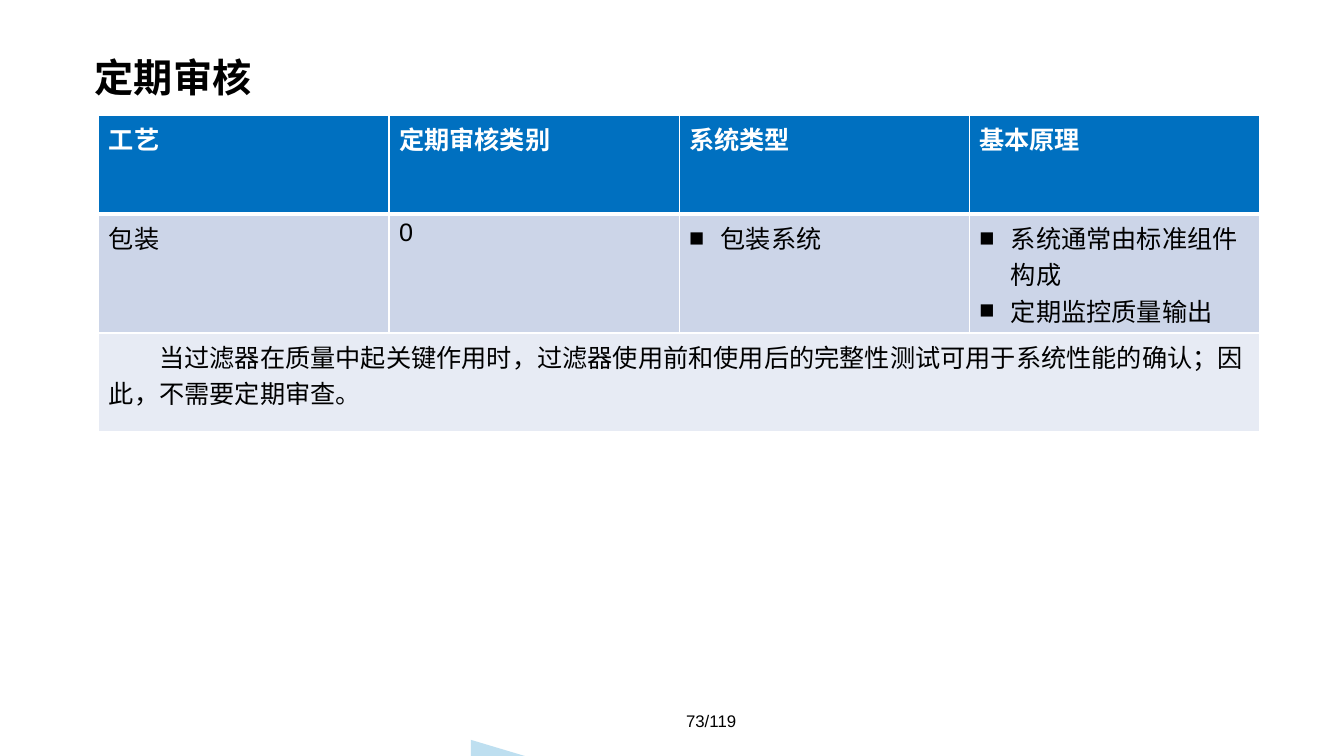
from lxml.etree import SubElement
from pptx import Presentation
from pptx.dml.color import RGBColor
from pptx.enum.shapes import MSO_SHAPE
from pptx.enum.text import MSO_ANCHOR, MSO_AUTO_SIZE, PP_ALIGN
from pptx.oxml.ns import qn
from pptx.util import Pt

BLACK = RGBColor(0x00, 0x00, 0x00)
WHITE = RGBColor(0xFF, 0xFF, 0xFF)
HEADER_BLUE = RGBColor(0x00, 0x70, 0xC0)
ROW_BLUE = RGBColor(0xCC, 0xD5, 0xE8)
NOTE_BLUE = RGBColor(0xE7, 0xEB, 0xF4)
ACCENT_BLUE = RGBColor(0xBE, 0xDF, 0xF0)

CJK = "Noto Sans CJK SC"
TITLE = dict(name=CJK, size=Pt(28), bold=True)
HEADER = dict(name="Calibri", size=Pt(18), bold=True)
BODY = dict(name="Arial", size=Pt(18), bold=False)
FOOTER = dict(name="Arial", size=Pt(12), bold=False)

COLUMNS = ["工艺", "定期审核类别", "系统类型", "基本原理"]
PACKAGING = [["包装"], ["0"], ["包装系统"], ["系统通常由标准组件构成", "定期监控质量输出"]]
BULLET_COLUMNS = (2, 3)
ROW_HEIGHTS = (70.5, 85, 70.5)
NOTE = "当过滤器在质量中起关键作用时，过滤器使用前和使用后的完整性测试可用于系统性能的确认；因此，不需要定期审查。"


def add_text(p, text, style, color=BLACK):
    r = p.add_run()
    r.text = text
    for key, value in style.items():
        setattr(r.font, key, value)
    r.font.color.rgb = color
    SubElement(r._r.get_or_add_rPr(), qn("a:ea"), typeface=CJK)


def set_indent(p, margin, first_line):
    pPr = p._p.get_or_add_pPr()
    pPr.set("marL", str(Pt(margin)))
    pPr.set("indent", str(Pt(first_line)))
    return pPr


def add_bullet(p):
    pPr = set_indent(p, 22.5, -22.5)
    SubElement(pPr, qn("a:buFont"), typeface="Arial")
    SubElement(pPr, qn("a:buChar"), char="■")


def add_borders(cell, top, bottom):
    tcPr = cell._tc.get_or_add_tcPr()
    for side, width in dict(L=1, R=1, T=top, B=bottom).items():
        ln = SubElement(tcPr, qn(f"a:ln{side}"), w=str(Pt(width)))
        fill = SubElement(ln, qn("a:solidFill"))
        SubElement(fill, qn("a:srgbClr"), val=str(WHITE))


def fill_cell(cell, lines, style, color, fill, top=1, bottom=1, bullets=False):
    add_borders(cell, top, bottom)
    cell.fill.solid()
    cell.fill.fore_color.rgb = fill
    tf = cell.text_frame
    for i, line in enumerate(lines):
        p = tf.add_paragraph() if i else tf.paragraphs[0]
        if bullets:
            add_bullet(p)
        add_text(p, line, style, color)


def add_title(s, text):
    title = s.shapes.title
    title.left, title.top, title.width, title.height = Pt(60.5), Pt(31.5), Pt(839), Pt(51)
    tf = title.text_frame
    tf.auto_size = MSO_AUTO_SIZE.NONE
    tf.vertical_anchor = MSO_ANCHOR.MIDDLE
    p = tf.paragraphs[0]
    p.alignment = PP_ALIGN.LEFT
    p.line_spacing = 0.9
    add_text(p, text, TITLE)


def add_page_number(s, text):
    tf = s.shapes.add_textbox(Pt(400), Pt(500.5), Pt(216), Pt(29)).text_frame
    tf.word_wrap = True
    tf.vertical_anchor = MSO_ANCHOR.MIDDLE
    p = tf.paragraphs[0]
    p.alignment = PP_ALIGN.CENTER
    add_text(p, text, FOOTER)


def add_corner(s):
    corner = s.shapes.add_shape(MSO_SHAPE.RIGHT_TRIANGLE, Pt(336.4), Pt(528.5), Pt(38.5), Pt(11.5))
    corner.shadow.inherit = False
    corner.fill.solid()
    corner.fill.fore_color.rgb = ACCENT_BLUE
    corner.line.fill.background()


def add_audit_table(s):
    table = s.shapes.add_table(len(ROW_HEIGHTS), len(COLUMNS), Pt(70.6), Pt(82.4),
                               Pt(829), Pt(sum(ROW_HEIGHTS))).table
    for row, height in zip(table.rows, ROW_HEIGHTS):
        row.height = Pt(height)
    for c, (heading, lines) in enumerate(zip(COLUMNS, PACKAGING)):
        fill_cell(table.cell(0, c), [heading], HEADER, WHITE, HEADER_BLUE, bottom=3)
        fill_cell(table.cell(1, c), lines, BODY, BLACK, ROW_BLUE, top=3,
                  bullets=c in BULLET_COLUMNS)
    note = table.cell(2, 0)
    note.merge(table.cell(2, len(COLUMNS) - 1))
    fill_cell(note, [NOTE], BODY, BLACK, NOTE_BLUE)
    set_indent(note.text_frame.paragraphs[0], 0, 36)


def main():
    prs = Presentation()
    prs.slide_width, prs.slide_height = Pt(960), Pt(540)
    s = prs.slides.add_slide(prs.slide_layouts[5])
    add_corner(s)
    add_title(s, "定期审核")
    add_page_number(s, "73/119")
    add_audit_table(s)
    prs.save("out.pptx")


if __name__ == "__main__":
    main()
